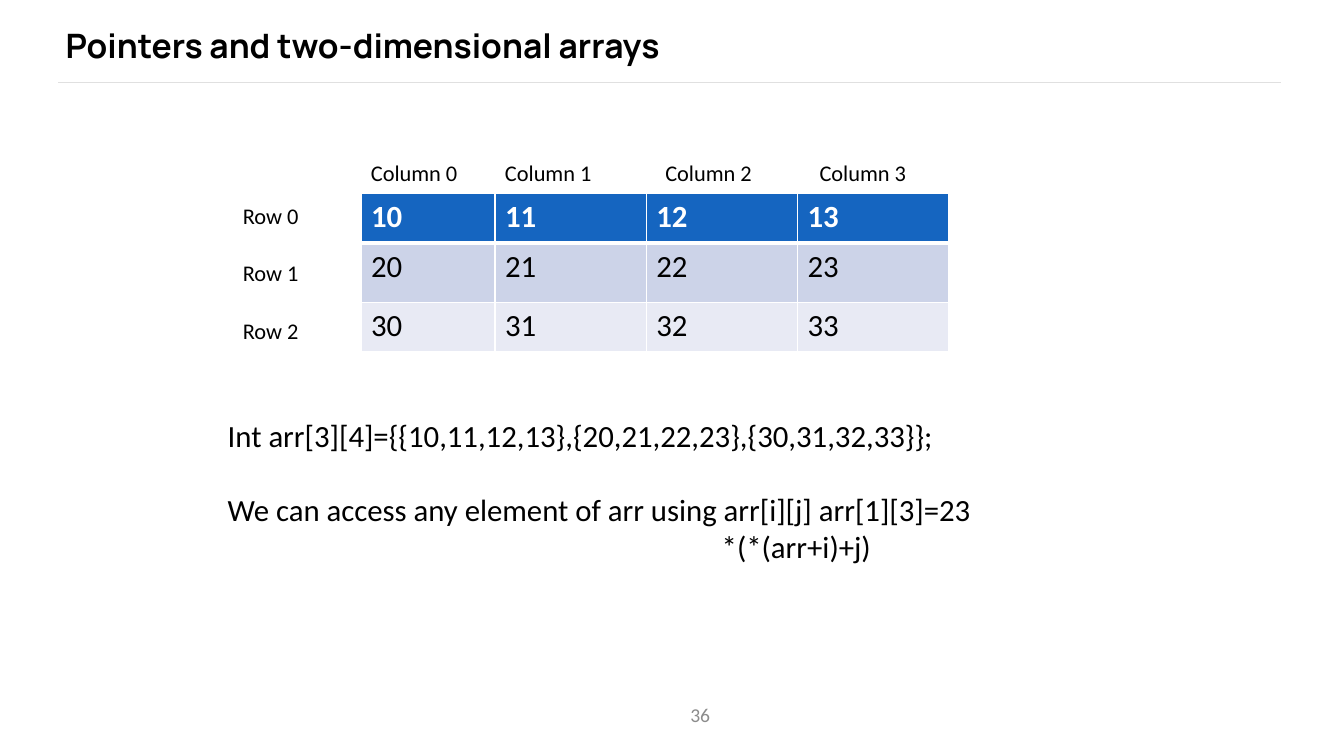
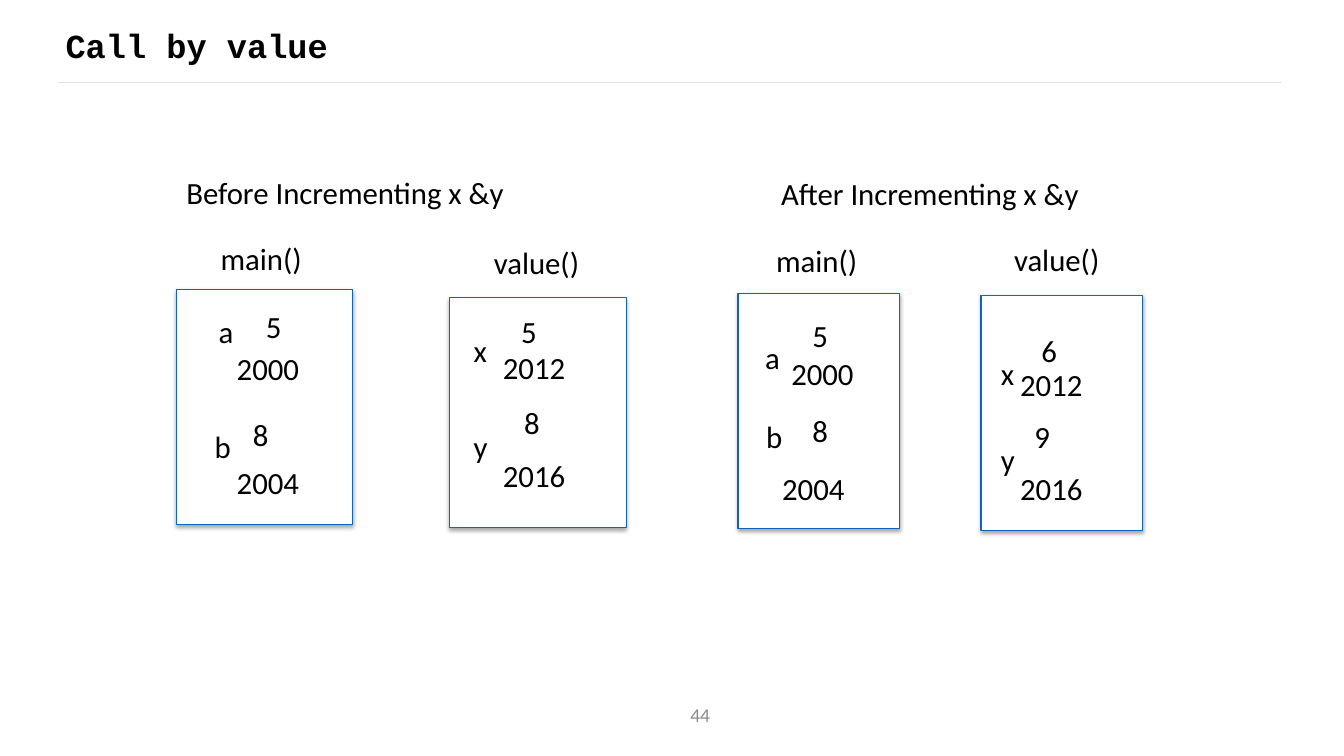
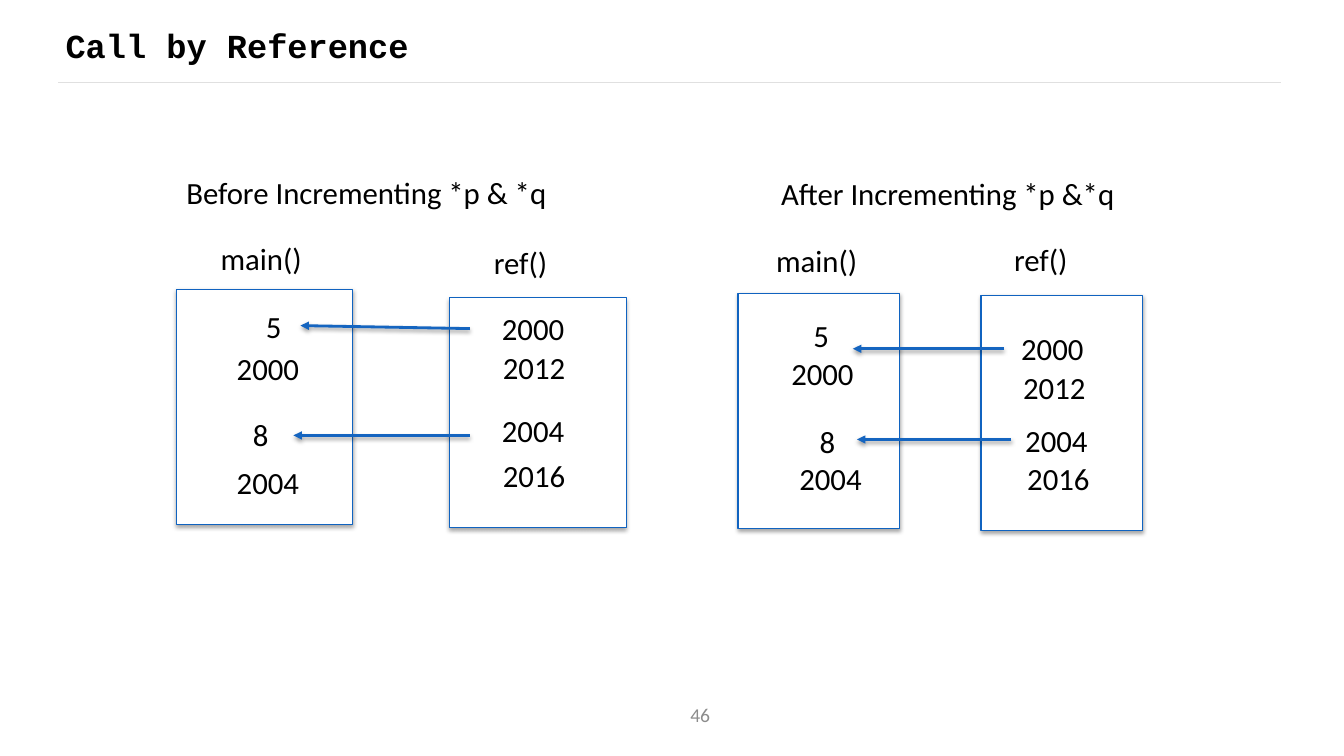
from dataclasses import dataclass

from lxml import etree
from pptx import Presentation
from pptx.dml.color import RGBColor
from pptx.enum.shapes import MSO_CONNECTOR, MSO_SHAPE
from pptx.enum.text import MSO_ANCHOR, MSO_AUTO_SIZE, PP_ALIGN
from pptx.oxml.ns import qn
from pptx.util import Inches, Pt

RECT = MSO_SHAPE.RECTANGLE
STRAIGHT = MSO_CONNECTOR.STRAIGHT
MIDDLE = MSO_ANCHOR.MIDDLE
LEFT, CENTER = PP_ALIGN.LEFT, PP_ALIGN.CENTER


@dataclass(frozen=True)
class Theme:
    black: str = "000000"
    white: str = "FFFFFF"
    rule: str = "E0E0E0"
    page: str = "8C8C8C"
    blue: str = "1565C0"
    frame: str = "1063C0"
    band_dark: str = "CCD3E8"
    band_light: str = "E8EAF4"
    font: str = "Calibri"
    title_font: str = "Manrope"
    code_font: str = "Courier New"
    title_size: int = 24
    body_size: int = 22
    label_size: int = 16
    page_size: int = 14


T = Theme()

# Content: array slide
ARRAY = [[10, 11, 12, 13], [20, 21, 22, 23], [30, 31, 32, 33]]
ARRAY_AT = (3.58, 1.92)
COL_WIDTHS = [1.33, 1.5, 1.5, 1.5]
ROW_HEIGHTS = [0.49, 0.59, 0.49]
ROW_FILLS = [T.blue, T.band_dark, T.band_light]
COL_LABEL_X = [3.58, 4.91, 6.5, 8.03]
ROW_LABEL_Y = [1.96, 2.52, 3.1]
# text, space before (pt), indent (inches)
ARRAY_NOTES = [
    ("Int arr[3][4]={{10,11,12,13},{20,21,22,23},{30,31,32,33}};", 0, 0),
    ("We can access any element of arr using arr[i][j] arr[1][3]=23", 26.8, 0),
    ("*(*(arr+i)+j)", 0, 4.9),
]

# Content: call slides; each has four memory frames
FRAMES = [(1.75, 2.87, 1.75, 2.33), (4.46, 2.95, 1.75, 2.28),
          (7.32, 2.91, 1.6, 2.33), (9.73, 2.93, 1.6, 2.33)]
NAME_AT = [(2.09, 2.33), (4.8, 2.37), (7.6, 2.35), (9.96, 2.34)]
HEADING_AT = [(1.75, 1.67), (7.65, 1.68)]
MAIN_BEFORE = [("5", 2.54, 3), ("2000", 2.25, 3.42),
               ("8", 2.41, 4.08), ("2004", 2.25, 4.55)]
CALLS = [
    {
        "title": "Call by value", "page": "44",
        "headings": ["Before Incrementing x &y", "After Incrementing x &y"],
        "function": "value()",
        "cells": MAIN_BEFORE + [
            ("5", 5.07, 3.05), ("2012", 4.89, 3.41),
            ("8", 5.1, 3.96), ("2016", 4.89, 4.48),
            ("5", 7.96, 3.09), ("2000", 7.75, 3.47),
            ("8", 7.96, 4.04), ("2004", 7.66, 4.61),
            ("6", 10.23, 3.24), ("2012", 10.02, 3.58),
            ("9", 10.16, 4.09), ("2016", 10.02, 4.61),
            ("a", 2.07, 3.05), ("b", 2.03, 4.19),
            ("x", 4.6, 3.24), ("y", 4.6, 4.19),
            ("a", 7.49, 3.31), ("b", 7.5, 4.09),
            ("x", 9.83, 3.47), ("y", 9.83, 4.32),
        ],
        "arrows": [],
    },
    {
        "title": "Call by Reference", "page": "46",
        "headings": ["Before Incrementing *p & *q", "After Incrementing *p &*q"],
        "function": "ref()",
        "cells": MAIN_BEFORE + [
            ("2000", 4.88, 3.02), ("2012", 4.89, 3.41),
            ("2004", 4.88, 4.04), ("2016", 4.89, 4.48),
            ("5", 7.97, 3.09), ("2000", 7.75, 3.47),
            ("8", 8.03, 4.14), ("2004", 7.83, 4.51),
            ("2000", 10.03, 3.22), ("2012", 10.05, 3.61),
            ("2004", 10.07, 4.13), ("2016", 10.09, 4.51),
        ],
        "arrows": [(4.66, 3.26, 2.98, 3.23), (4.66, 4.32, 2.91, 4.32),
                   (9.96, 3.46, 8.46, 3.46), (10.03, 4.36, 8.5, 4.36)],
    },
]


def inches(*values):
    return [Inches(v) for v in values]


def rgb(color):
    return RGBColor.from_string(color)


def style(p, size, color=T.black, font=T.font, bold=False):
    for r in p.runs:
        r.font.size, r.font.name, r.font.bold = Pt(size), font, bold
        r.font.color.rgb = rgb(color)


def add_text(s, text, x, y, w, h=0.47, size=T.body_size, color=T.black):
    tf = s.shapes.add_textbox(*inches(x, y, w, h)).text_frame
    tf.word_wrap = True
    tf.text = text
    style(tf.paragraphs[0], size, color)
    return tf


def set_shadow(sp, alpha=0, dist=0):
    """Give a soft downward shadow, or none when alpha is 0."""
    effects = etree.SubElement(sp.element.spPr, qn("a:effectLst"))
    if alpha:
        shadow = etree.SubElement(effects, qn("a:outerShdw"), blurRad=str(Pt(3.1)),
                                  dist=str(Pt(dist)), dir="5400000", rotWithShape="0")
        clr = etree.SubElement(shadow, qn("a:srgbClr"), val=T.black)
        etree.SubElement(clr, qn("a:alpha"), val=str(alpha * 1000))


def add_line(s, ends, color, width):
    line = s.shapes.add_connector(STRAIGHT, *inches(*ends))
    line.line.color.rgb = rgb(color)
    line.line.width = Pt(width)
    return line


def add_arrow(s, ends):
    arrow = add_line(s, ends, T.blue, 2)
    etree.SubElement(arrow.line._get_or_add_ln(), qn("a:tailEnd"), type="triangle")
    set_shadow(arrow, 38, 1.6)


def set_borders(cell, bottom):
    tc_pr = cell._tc.get_or_add_tcPr()
    for i, (side, width) in enumerate([("L", 1), ("R", 1), ("T", 1), ("B", bottom)]):
        ln = etree.Element(qn(f"a:ln{side}"), w=str(Pt(width)))
        fill = etree.SubElement(ln, qn("a:solidFill"))
        etree.SubElement(fill, qn("a:srgbClr"), val=T.white)
        tc_pr.insert(i, ln)


def set_up_layout(layout):
    title = layout.placeholders[0]
    title.left, title.top, title.width, title.height = inches(0.65, 0.19, 10.26, 0.52)
    tf = title.text_frame
    tf.margin_left = tf.margin_right = tf.margin_top = tf.margin_bottom = 0
    tf.vertical_anchor = MIDDLE
    tf.auto_size = MSO_AUTO_SIZE.NONE


def add_slide(prs, layout, title, page, font):
    s = prs.slides.add_slide(layout)
    if len(prs.slides) == 1:  # the rule under the title belongs to the layout
        rule = add_line(s, (0.58, 0.82, 12.71, 0.82), T.rule, 0.75)
        set_shadow(rule)
        layout.shapes.element.append(rule.element)
    s.shapes.title.text_frame.text = title
    p = s.shapes.title.text_frame.paragraphs[0]
    p.alignment = LEFT
    style(p, T.title_size, font=font, bold=True)
    tf = add_text(s, page, 5.39, 6.89, 3.11, 0.4, T.page_size, T.page)
    tf.vertical_anchor = MIDDLE
    tf.paragraphs[0].alignment = CENTER
    return s


def build_array_slide(prs, layout):
    s = add_slide(prs, layout, "Pointers and two-dimensional arrays", "36", T.title_font)
    # Table
    table = s.shapes.add_table(len(ARRAY), len(ARRAY[0]), *inches(
        *ARRAY_AT, sum(COL_WIDTHS), sum(ROW_HEIGHTS))).table
    for column, width in zip(table.columns, COL_WIDTHS):
        column.width = Inches(width)
    for i, values in enumerate(ARRAY):
        table.rows[i].height = Inches(ROW_HEIGHTS[i])
        head = i == 0
        for j, value in enumerate(values):
            cell = table.cell(i, j)
            cell.text = str(value)
            style(cell.text_frame.paragraphs[0], T.body_size,
                  T.white if head else T.black, bold=head)
            cell.fill.solid()
            cell.fill.fore_color.rgb = rgb(ROW_FILLS[i])
            set_borders(cell, 3 if head else 1)
    # Row and column labels
    for j, x in enumerate(COL_LABEL_X):
        add_text(s, f"Column {j}", x, 1.53, 1.08, 0.37, T.label_size)
    for i, y in enumerate(ROW_LABEL_Y):
        add_text(s, f"Row {i}", 2.31, y, 1.08, 0.37, T.label_size)
    # Notes
    tf = add_text(s, "", 2.16, 4.08, 8.75, 1.58)
    for i, (text, before, indent) in enumerate(ARRAY_NOTES):
        p = tf.add_paragraph() if i else tf.paragraphs[0]
        p.text = text
        p.space_before = Pt(before)
        p._p.get_or_add_pPr().set("marL", str(Inches(indent)))
        style(p, T.body_size)


def build_call_slide(prs, layout, call):
    s = add_slide(prs, layout, call["title"], call["page"], T.code_font)
    # Memory frames and their function names
    names = ["main()", call["function"]] * 2
    for box, name, at in zip(FRAMES, names, NAME_AT):
        sp = s.shapes.add_shape(RECT, *inches(*box))
        sp.fill.solid()
        sp.fill.fore_color.rgb = rgb(T.white)
        sp.line.color.rgb = rgb(T.frame)
        sp.line.width = Pt(0.75)
        set_shadow(sp, 35, 1.8)
        add_text(s, name, *at, 1.2)
    for heading, at in zip(call["headings"], HEADING_AT):
        add_text(s, heading, *at, 3.93)
    # Values, addresses and variable names
    for text, x, y in call["cells"]:
        add_text(s, text, x, y, 1 if len(text) > 1 else 0.5)
    for ends in call["arrows"]:
        add_arrow(s, ends)


def main():
    prs = Presentation()
    prs.slide_width, prs.slide_height = inches(13.33, 7.5)
    layout = prs.slide_layouts.get_by_name("Title Only")
    set_up_layout(layout)
    build_array_slide(prs, layout)
    for call in CALLS:
        build_call_slide(prs, layout, call)
    prs.save("out.pptx")


if __name__ == "__main__":
    main()
